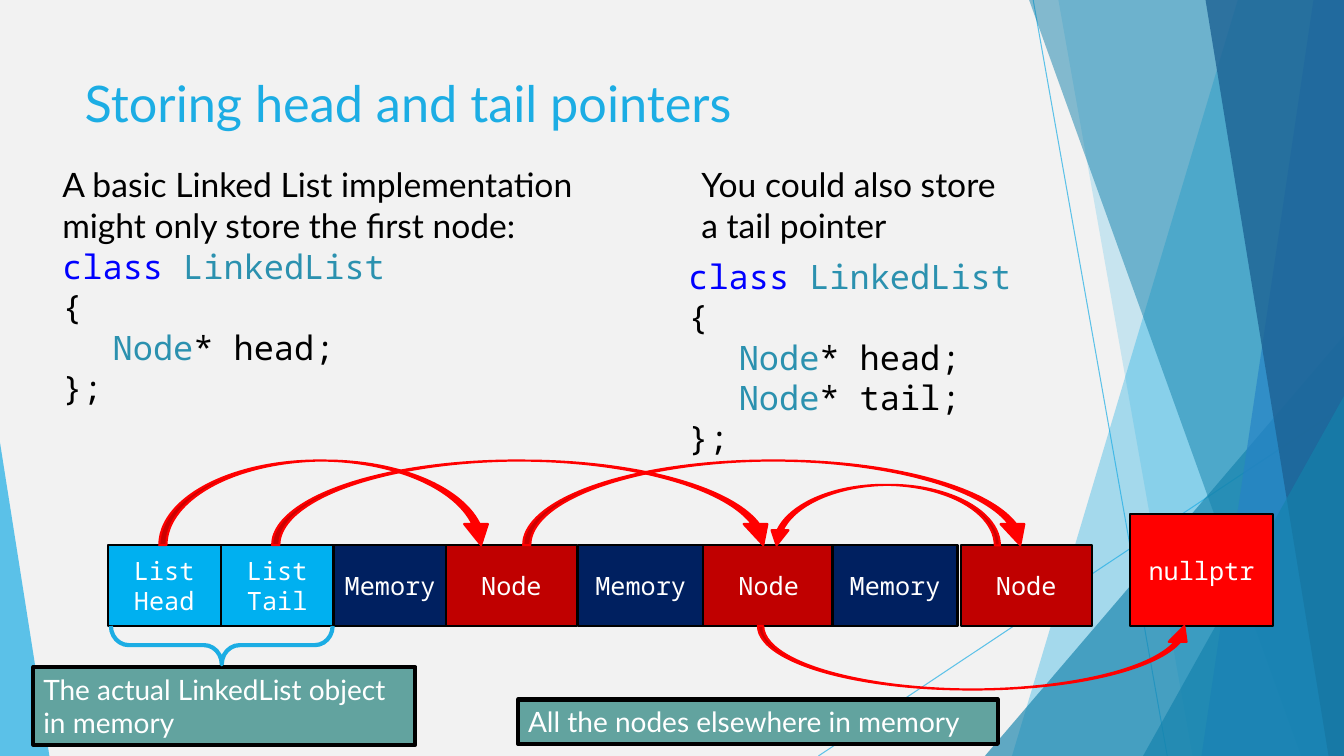
"""Build the slide on storing head and tail pointers in a linked list."""
from lxml import etree
from pptx import Presentation
from pptx.dml.color import RGBColor
from pptx.enum import shapes, text
from pptx.oxml.ns import qn
from pptx.util import Pt

KIND = shapes.MSO_SHAPE
LEFT, CENTER = text.PP_ALIGN.LEFT, text.PP_ALIGN.CENTER
TOP, MIDDLE = text.MSO_ANCHOR.TOP, text.MSO_ANCHOR.MIDDLE


class Theme:
    """Colours, fonts and type sizes."""
    paper, black, white = "F2F2F2", "000000", "FFFFFF"
    accent, deep, sky, navy = "1CADE4", "1482AC", "2683C6", "1D6294"
    keyword, type_name = "0000FF", "2B91AF"
    pointer, node, memory, null, callout = "00B0F0", "C00000", "002060", "FF0000", "62A39F"
    sans, mono = "Lato", "Noto Sans Mono"
    title, body, note, cell = 36, 24, 20, 18


W, H = 960, 540
TITLE = "Storing head and tail pointers"

RAYS = [(738, 0, 833.8, H), (W, 290.2, 584.6, H)]
FACETS = [
    ("quad", 884.2, 722.9, Theme.accent, 36),
    ("quad", 756, 851.8, Theme.accent, 20),
    ("corner", 703.5, 239.8, Theme.deep, 66),
    ("quad", 735.1, 929.5, Theme.deep, 50),
    ("quad", 938.2, 858.2, Theme.sky, 70),
    ("quad", 861.1, 949, Theme.navy, 80),
    ("corner", 816.5, 283, Theme.deep, 66),
]
LEFT_WEDGE = (0, 316.1, 35.3, 223.9)

INTROS = [
    ("A basic Linked List implementation might only store the first node:",
     (37.4, 113.8, 406, 65.4)),
    ("You could also store a tail pointer", (493.9, 113.8, 226, 65.4)),
]
CLASSES = [
    (["head"], (37.4, 172.1, 246.2, 123.8)),
    (["head", "tail"], (484.6, 179.3, 246.2, 152.6)),
]

CELL_TOP, CELL_H = 389.5, 57.6
CELLS = [
    ("List\nHead", Theme.pointer, 80.6, [77]),
    ("List\nTail", Theme.pointer, 80.6, [157.7]),
    ("Node", Theme.node, 93.6, [318.5, 502.3, 686.2]),
    ("Memory", Theme.memory, 80.6, [238.3]),
    ("Memory", Theme.memory, 89.3, [413, 594.7]),
]
NULL_BOX = (807.1, 367.2, 102.2, 79.9)
ARROWS = [
    ((113.8, 329, 238.3, 60.5), "flip"),
    ((194.4, 329, 359.3, 60.5), "flip"),
    ((373.7, 329, 363.6, 60.5), "flip"),
    ((548.6, 346.3, 165.6, 43.2), "turn"),
    ((541.4, 447.1, 311, 45.4), "plain"),
]
BRACE = (144.7, 381.6, 27.4, 158.4)
CALLOUTS = [
    ("The actual LinkedList object\nin memory", (23.8, 476.6, 272.9, 55.4)),
    ("All the nodes elsewhere in memory", (370.1, 499.7, 342.7, 31.7)),
]


def rgb(code):
    return RGBColor.from_string(code)


def box(rect):
    return [Pt(v) for v in rect]


def write(sp, paragraphs, size, font=Theme.sans, color=Theme.white,
          align=LEFT, anchor=TOP, grow=False, tab=None):
    """Fill a shape; each paragraph is a string or a list of (text, colour)."""
    tf = sp.text_frame
    tf.word_wrap = True
    tf.vertical_anchor = anchor
    tf.auto_size = text.MSO_AUTO_SIZE.SHAPE_TO_FIT_TEXT if grow else text.MSO_AUTO_SIZE.NONE
    for i, runs in enumerate(paragraphs):
        p = tf.add_paragraph() if i else tf.paragraphs[0]
        p.alignment = align
        if tab:
            tabs = etree.SubElement(p._p.get_or_add_pPr(), qn("a:tabLst"))
            etree.SubElement(tabs, qn("a:tab"), pos=str(Pt(tab)), algn="l")
        for words, tint in [(runs, color)] if isinstance(runs, str) else runs:
            for j, line in enumerate(words.split("\n")):
                if j:
                    p.add_line_break()
                r = p.add_run()
                r.text = line
                r.font.size, r.font.name = Pt(size), font
                r.font.color.rgb = rgb(tint)


def fade(sp, percent):
    for clr in sp._element.spPr.iter(qn("a:srgbClr")):
        etree.SubElement(clr, qn("a:alpha"), val=str(percent * 1000))


def style(sp, fill=None, line=None, width=1.5):
    sp.shadow.inherit = False
    if fill:
        sp.fill.solid()
        sp.fill.fore_color.rgb = rgb(fill)
    else:
        sp.fill.background()
    if line:
        sp.line.color.rgb = rgb(line)
        sp.line.width = Pt(width)
    else:
        sp.line.fill.background()
    return sp


def add(s, kind, rect, adj=(), **look):
    sp = s.shapes.add_shape(kind, *box(rect))
    for i, value in enumerate(adj):
        sp.adjustments[i] = value
    return style(sp, **look)


def draw_backdrop(s):
    s.background.fill.solid()
    s.background.fill.fore_color.rgb = rgb(Theme.paper)
    for ray in RAYS:
        cn = s.shapes.add_connector(shapes.MSO_CONNECTOR.STRAIGHT, *box(ray))
        cn.line.color.rgb = rgb(Theme.accent)
        cn.line.width = Pt(0.75)
        fade(cn, 70)
        etree.SubElement(cn._element.spPr, qn("a:effectLst"))
    for form, a, b, color, opacity in FACETS:
        if form == "quad":
            fb = s.shapes.build_freeform(Pt(a), 0)
            fb.add_line_segments([box(pt) for pt in ((W, 0), (W, H), (b, H))])
            sp = style(fb.convert_to_shape(), fill=color)
        else:
            sp = add(s, KIND.ISOSCELES_TRIANGLE, (a, b, W - a, H - b), [1], fill=color)
        fade(sp, opacity)
    fade(add(s, KIND.ISOSCELES_TRIANGLE, LEFT_WEDGE, [0], fill=Theme.accent), 70)


def draw_text(s):
    title = s.shapes.title
    title.left, title.top, title.width, title.height = box((53.3, 48.2, 676.8, 65.5))
    write(title, [TITLE], Theme.title, color=Theme.accent)
    for words, rect in INTROS:
        write(s.shapes.add_textbox(*box(rect)), [words], Theme.body,
              color=Theme.black, grow=True)
    for fields, rect in CLASSES:
        code = [[("class ", Theme.keyword), ("LinkedList", Theme.type_name)], "{"]
        code += [[("\tNode", Theme.type_name), (f"* {f};", Theme.black)] for f in fields]
        write(s.shapes.add_textbox(*box(rect)), code + ["};"], Theme.body,
              font=Theme.mono, color=Theme.black, grow=True, tab=36)


def draw_memory(s):
    cells = [(label, fill, (x, CELL_TOP, width, CELL_H))
             for label, fill, width, lefts in CELLS for x in lefts]
    for label, fill, rect in cells + [("nullptr", Theme.null, NULL_BOX)]:
        sp = add(s, KIND.RECTANGLE, rect, fill=fill, line=Theme.black)
        write(sp, [label], Theme.cell, font=Theme.mono, align=CENTER, anchor=MIDDLE)
    for rect, pose in ARROWS:
        sp = add(s, KIND.CURVED_UP_ARROW, rect, (0.084, 0.281, 0.25),
                 fill=Theme.null, line=Theme.null)
        if pose == "turn":
            sp.rotation = 180
        elif pose == "flip":
            sp._element.spPr.find(qn("a:xfrm")).set("flipV", "1")
    for words, rect in CALLOUTS:
        sp = add(s, KIND.RECTANGLE, rect, fill=Theme.callout, line=Theme.black, width=3)
        write(sp, [words], Theme.note, grow=True)
    brace = add(s, KIND.RIGHT_BRACE, BRACE, (0.464, 0.5), line=Theme.accent, width=3)
    brace.rotation = 90


def main():
    prs = Presentation()
    prs.slide_width, prs.slide_height = Pt(W), Pt(H)
    s = prs.slides.add_slide(prs.slide_layouts[5])
    draw_backdrop(s)
    draw_text(s)
    draw_memory(s)
    prs.save("out.pptx")


if __name__ == "__main__":
    main()
